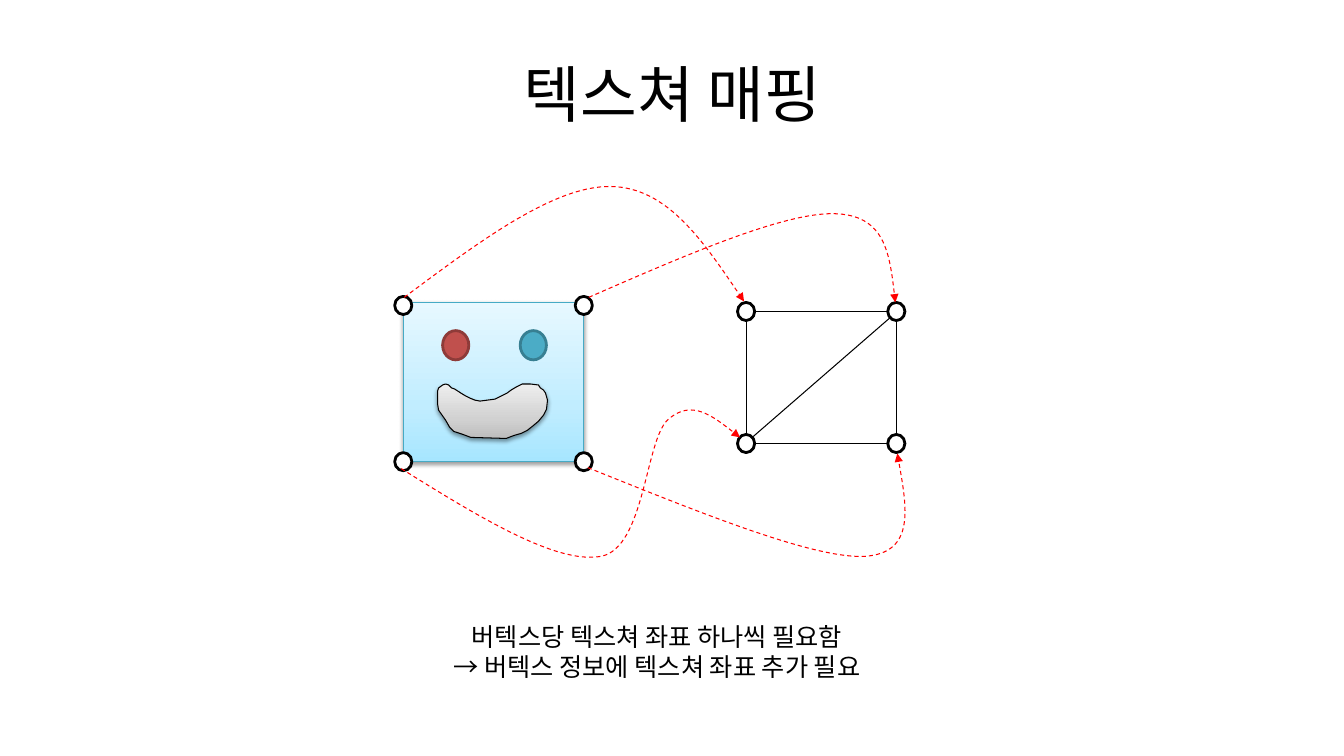
from copy import deepcopy
from dataclasses import dataclass

from lxml import etree
from pptx import Presentation
from pptx.dml.color import RGBColor
from pptx.enum.dml import MSO_LINE
from pptx.enum.shapes import MSO_CONNECTOR, MSO_SHAPE
from pptx.enum.text import MSO_ANCHOR, PP_ALIGN
from pptx.oxml.ns import qn
from pptx.util import Emu, Inches, Pt

RECTANGLE, OVAL = MSO_SHAPE.RECTANGLE, MSO_SHAPE.OVAL
STRAIGHT = MSO_CONNECTOR.STRAIGHT
DASH = MSO_LINE.DASH
MIDDLE, TOP = MSO_ANCHOR.MIDDLE, MSO_ANCHOR.TOP
CENTER = PP_ALIGN.CENTER
COLUMNS, ROWS = 13.33, 7.5


@dataclass(frozen=True)
class Theme:
    font: str = "Noto Sans CJK KR"
    title_size: float = 44
    note_size: float = 18
    thin: float = 0.75
    thick: float = 2
    ink: str = "000000"
    paper: str = "FFFFFF"
    mapping: str = "FF0000"
    face_edge: str = "46AAC5"
    face: tuple = ((0, "A7E6FF"), (0.35, "C1EDFF"), (1, "E7F8FF"))
    mouth: tuple = ((0, "BDBDBD"), (0.35, "D1D1D1"), (1, "EEEEEE"))
    left_eye: tuple = ("C0504D", "8E3B39")
    right_eye: tuple = ("4BACC6", "377F92")


class SlideBuilder:
    """Draws on one slide, measured in columns and rows of its grid."""

    def __init__(self, presentation, theme):
        self.theme = theme
        self.column = presentation.slide_width / COLUMNS
        self.row = presentation.slide_height / ROWS
        self.slide = presentation.slides.add_slide(presentation.slide_layouts[6])

    def place(self, *lengths):
        units = (self.column, self.row) * 2
        return [Emu(round(length * unit)) for length, unit in zip(lengths, units)]

    def style_line(self, line, color, width):
        line.color.rgb = RGBColor.from_string(color)
        line.width = Pt(width)

    def style_fill(self, shape, fill):
        if isinstance(fill, str):
            shape.fill.solid()
            shape.fill.fore_color.rgb = RGBColor.from_string(fill)
            return
        shape.fill.gradient()
        shape.fill.gradient_angle = 90
        stop_list = shape._element.spPr.find(".//" + qn("a:gsLst"))
        stop_list.insert(1, deepcopy(stop_list[0]))
        for stop, (position, color) in zip(shape.fill.gradient_stops, fill):
            stop.position = position
            stop.color.rgb = RGBColor.from_string(color)

    def add_shadow(self, shape):
        effects = shape._element.spPr.find(qn("a:effectLst"))
        shadow = etree.SubElement(effects, qn("a:outerShdw"), blurRad=str(Pt(3.1)),
                                  dist=str(Pt(1.6)), dir="5400000", rotWithShape="0")
        color = etree.SubElement(shadow, qn("a:srgbClr"), val=self.theme.ink)
        etree.SubElement(color, qn("a:alpha"), val="38000")

    def text(self, box, lines, size, anchor):
        frame = self.slide.shapes.add_textbox(*self.place(*box)).text_frame
        for name, value in {"word_wrap": True, "vertical_anchor": anchor}.items():
            setattr(frame, name, value)
        for index, line in enumerate(lines):
            paragraph = frame.add_paragraph() if index else frame.paragraphs[0]
            paragraph.alignment = CENTER
            run = paragraph.add_run()
            run.text = line
            run.font.color.rgb = RGBColor.from_string(self.theme.ink)
            for name, value in {"name": self.theme.font, "size": Pt(size)}.items():
                setattr(run.font, name, value)
            etree.SubElement(run.font._element, qn("a:ea"), typeface=self.theme.font)

    def shape(self, kind, box, fill, edge, width):
        shape = self.slide.shapes.add_shape(kind, *self.place(*box))
        shape.shadow.inherit = False
        self.style_fill(shape, fill)
        self.style_line(shape.line, edge, width)
        return shape

    def vertex(self, center):
        width, height = 0.17, 0.18
        x, y = center
        self.shape(OVAL, (x - width / 2, y - height / 2, width, height),
                   self.theme.paper, self.theme.ink, self.theme.thick)

    def edge(self, start, end):
        connector = self.slide.shapes.add_connector(
            STRAIGHT, *self.place(*start), *self.place(*end))
        etree.SubElement(connector._element.spPr, qn("a:effectLst"))
        self.style_line(connector.line, self.theme.ink, self.theme.thin)

    def outline(self, points, color, closed):
        start, *others = [self.place(*point) for point in points]
        builder = self.slide.shapes.build_freeform(*start)
        builder.add_line_segments(others, close=closed)
        shape = builder.convert_to_shape()
        shape.shadow.inherit = False
        self.style_line(shape.line, color, self.theme.thin)
        return shape

    def mapping_arrow(self, points):
        """Draws a start point followed by three Bézier points per curve."""
        shape = self.outline(points, self.theme.mapping, closed=False)
        shape.fill.background()
        shape.line.dash_style = DASH
        etree.SubElement(shape.line._ln, qn("a:tailEnd"), type="triangle")
        segments = list(shape._element.iter(qn("a:lnTo")))
        for first in range(0, len(segments), 3):
            curve = etree.Element(qn("a:cubicBezTo"))
            segments[first].addprevious(curve)
            for segment in segments[first:first + 3]:
                curve.append(segment[0])
                segment.getparent().remove(segment)


MOUTH = [
    (4.42, 4.17), (4.35, 4.07), (4.34, 4.01), (4.34, 3.88), (4.35, 3.85),
    (4.39, 3.82), (4.42, 3.81), (4.45, 3.82), (4.48, 3.85), (4.51, 3.86),
    (4.57, 3.9), (4.62, 3.93), (4.66, 3.95), (4.71, 3.97), (4.76, 3.98),
    (4.91, 3.96), (4.97, 3.93), (5.03, 3.9), (5.07, 3.87), (5.12, 3.84),
    (5.18, 3.81), (5.26, 3.81), (5.34, 3.82), (5.36, 3.85), (5.39, 3.87),
    (5.41, 3.9), (5.43, 3.97), (5.42, 4.06), (5.39, 4.12), (5.34, 4.18),
    (5.28, 4.23), (5.23, 4.27), (5.17, 4.3), (5.1, 4.32), (5.02, 4.35),
    (4.67, 4.34), (4.59, 4.31), (4.53, 4.29), (4.5, 4.28), (4.46, 4.24),
]
MAPPINGS = [
    [(4.01, 2.95), (4.76, 2.39), (5.5, 1.84), (6.06, 1.85),
     (6.62, 1.86), (7, 2.43), (7.38, 2.99)],
    [(5.84, 2.95), (6.8, 2.53), (7.77, 2.11), (8.27, 2.12),
     (8.78, 2.13), (8.83, 2.56), (8.88, 3)],
    [(3.98, 4.65), (4.75, 5.13), (5.52, 5.6), (5.96, 5.52), (6.4, 5.44),
     (6.4, 4.35), (6.63, 4.16), (6.86, 3.96), (7.1, 4.15), (7.34, 4.34)],
    [(5.83, 4.64), (6.95, 5.09), (8.06, 5.54), (8.57, 5.52),
     (9.08, 5.49), (8.99, 5), (8.9, 4.5)],
]


def main():
    presentation = Presentation()
    presentation.slide_width, presentation.slide_height = Inches(COLUMNS), Inches(ROWS)
    theme = Theme()
    builder = SlideBuilder(presentation, theme)

    # Title
    builder.text((0.67, 0.3, 12, 1.25), ["텍스쳐 매핑"], theme.title_size, MIDDLE)

    # Texture: a smiling face
    face = builder.shape(RECTANGLE, (4, 3, 1.79, 1.58), theme.face, theme.face_edge, theme.thin)
    builder.add_shadow(face)
    for left, colors in ((4.39, theme.left_eye), (5.16, theme.right_eye)):
        builder.shape(OVAL, (left, 3.28, 0.26, 0.29), *colors, theme.thick)
    mouth = builder.outline(MOUTH, theme.ink, closed=True)
    builder.style_fill(mouth, theme.mouth)
    builder.add_shadow(mouth)

    # Mesh edges: four sides and the diagonal
    left, right, top, bottom = 7.4, 8.89, 3.09, 4.4
    gap_x, gap_y = 0.08, 0.09
    for x in (left, right):
        builder.edge((x, top + gap_y), (x, bottom - gap_y))
    for y in (top, bottom):
        builder.edge((left + gap_x, y), (right - gap_x, y))
    builder.edge((left + 0.06, bottom - 0.06), (right - 0.06, top + 0.06))

    # Vertices of the mesh and of the texture
    for xs, ys in (((left, right), (top, bottom)), ((4, 5.79), (3.03, 4.58))):
        for y in ys:
            for x in xs:
                builder.vertex((x, y))

    # Texture coordinates mapped to vertices
    for points in MAPPINGS:
        builder.mapping_arrow(points)

    # Note
    builder.text((2.97, 6.11, 7.09, 0.71),
                 ["버텍스당 텍스쳐 좌표 하나씩 필요함", "→ 버텍스 정보에 텍스쳐 좌표 추가 필요"],
                 theme.note_size, TOP)

    presentation.save("out.pptx")


if __name__ == "__main__":
    main()
